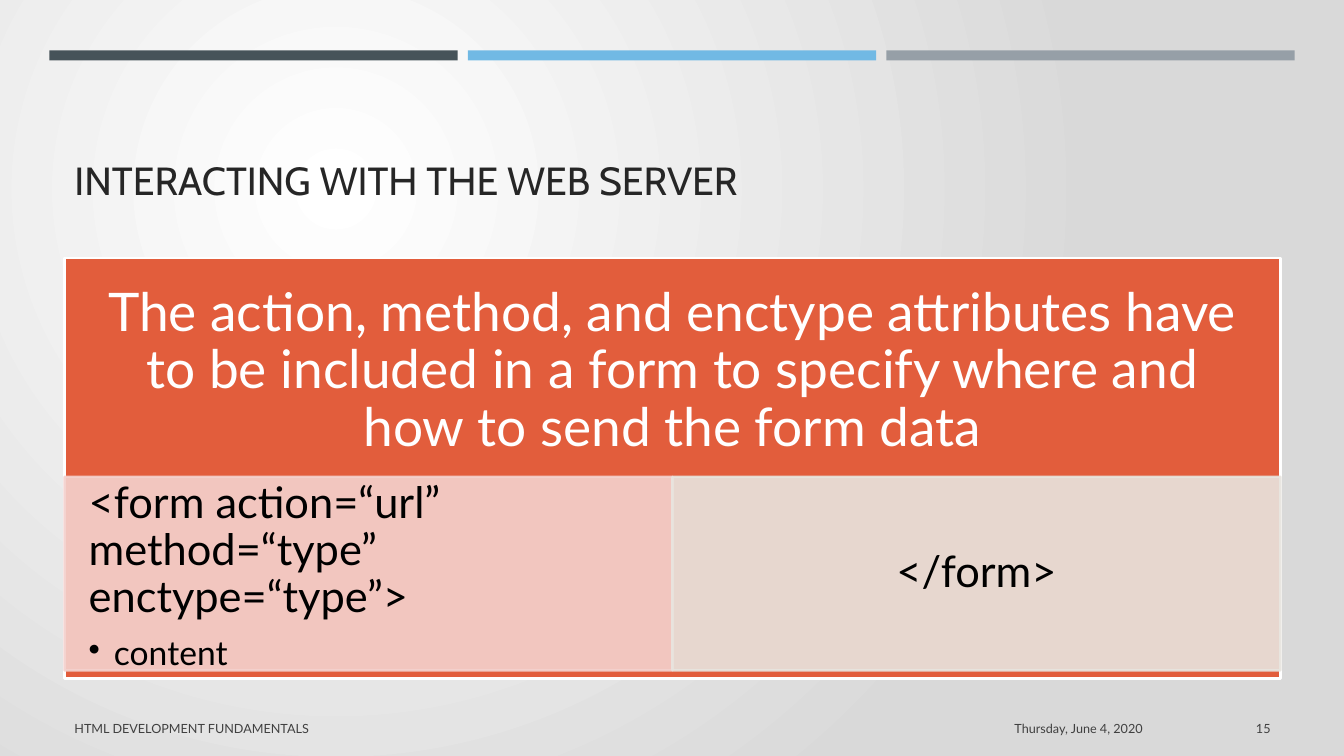
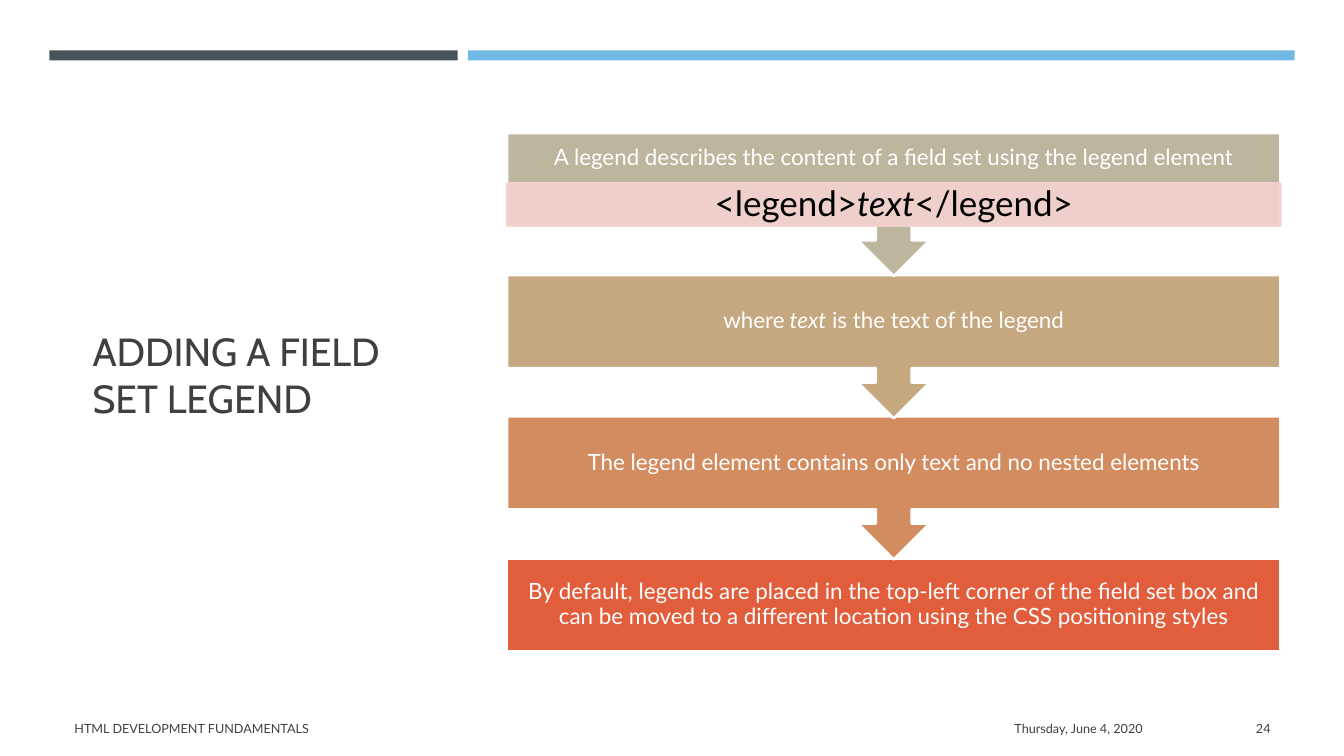
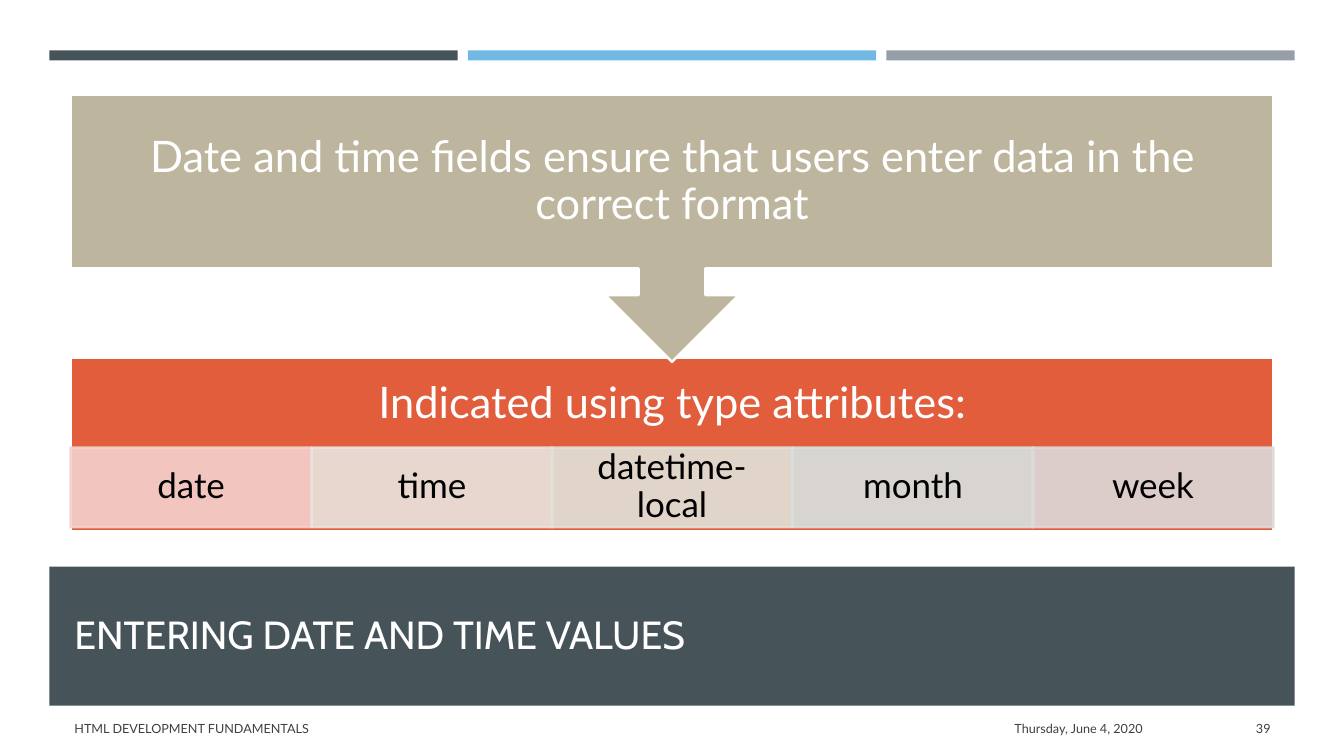
"""Build three slides of a course on HTML forms."""
import pptx
import pptx.dml.color
import pptx.enum.shapes
import pptx.enum.text
import pptx.oxml.ns
import pptx.util
from lxml import etree

COLORS = {
    "slate": "465359", "sky": "71B9E4", "gray": "969FA7",
    "ink": "262626", "text": "404040", "black": "000000",
    "white": "FFFFFF", "silver": "D9D9D9",
    "orange": "E25D3C", "copper": "D28C60", "tan": "C6A880", "khaki": "BDB59D",
}
TINTS = ["F4D2CE", "E8E5DF", "E1E2D8", "D7E1DF", "DDDADA"]
HEAD_FONT, BODY_FONT = "Cabin", "Lato"

WIDTH, HEIGHT = 13.33, 7.5
MARGIN, COLUMN, GUTTER = 0.49, 4.05, 0.1
BAR_TOP, BAR_HEIGHT = 0.5, 0.1
FOOTER_TOP, FOOTER_HEIGHT = 7.03, 0.4
STRIP_SHARE = 0.46
CALLOUT_BOX_SHARE = 0.65

COURSE, DATE = "HTML DEVELOPMENT FUNDAMENTALS", "Thursday, June 4, 2020"
THREE_BARS = [(0, 1, "slate"), (1, 1, "sky"), (2, 1, "gray")]
TWO_BARS = [(0, 1, "slate"), (1, 2, "sky")]

FORM_RULE = ["The action, method, and enctype attributes have to be included in a form "
             "to specify where and how to send the form data"]
FORM_CELLS = [["<form action=“url” method=“type” enctype=“type”>"], ["</form>"]]
FORM_CONTENT = "content"

LEGEND_STEPS = [
    (["A legend describes the content of a field set using the legend element"], "khaki"),
    (["where", " text", " is the text of the legend"], "tan"),
    (["The legend element contains only text and no nested elements"], "copper"),
    (["By default, legends are placed in the top-left corner of the field set box and "
      "can be moved to a different location using the CSS positioning styles"], "orange"),
]
LEGEND_CODE = [["<legend>", "text", "</legend>"]]

DATE_RULE = ["Date and time fields ensure that users enter data in the correct format"]
DATE_LEAD = ["Indicated using type attributes:"]
DATE_TYPES = [["date"], ["time"], ["datetime-local"], ["month"], ["week"]]

SHAPES = pptx.enum.shapes.MSO_SHAPE
ANCHOR = pptx.enum.text.MSO_ANCHOR
ALIGN = pptx.enum.text.PP_ALIGN
Inches, Pt, qn = pptx.util.Inches, pptx.util.Pt, pptx.oxml.ns.qn


def rgb(color):
    return pptx.dml.color.RGBColor.from_string(COLORS.get(color, color))


def place(left, top, width, height):
    return [Inches(round(length, 2)) for length in (left, top, width, height)]


def format_runs(paragraph, size, color, font=BODY_FONT):
    for run in paragraph.runs:
        run.font.size = Pt(size)
        run.font.name = font
        run.font.color.rgb = rgb(color)


def add_label(slide, text, box, size, color, font=BODY_FONT,
              anchor=ANCHOR.MIDDLE, align=ALIGN.LEFT, after=0):
    frame = slide.shapes.add_textbox(*place(*box)).text_frame
    frame.word_wrap = True
    frame.vertical_anchor = anchor
    paragraph = frame.paragraphs[0]
    paragraph.text = text
    paragraph.alignment = align
    paragraph.space_after = Pt(after)
    format_runs(paragraph, size, color, font)


def add_panel(slide, box, fill, line=None, kind=SHAPES.RECTANGLE):
    panel = slide.shapes.add_shape(kind, *place(*box))
    panel.shadow.inherit = False
    panel.fill.solid()
    panel.fill.fore_color.rgb = rgb(fill)
    if line:
        panel.line.color.rgb = rgb(line)
        panel.line.width = Pt(1.75)
    else:
        panel.line.fill.background()
    return panel


def write(panel, segments, size, color, inset_x, inset_y, reserve=0):
    """Write segments, every second one in italics, above a reserved depth."""
    frame = panel.text_frame
    frame.word_wrap = True
    frame.vertical_anchor = ANCHOR.MIDDLE
    frame.margin_left = frame.margin_right = Inches(inset_x)
    frame.margin_top = Inches(inset_y)
    frame.margin_bottom = Inches(inset_y + reserve)
    paragraph = frame.paragraphs[0]
    for index, segment in enumerate(segments):
        run = paragraph.add_run()
        run.text = segment
        run.font.italic = index % 2 == 1
    paragraph.alignment = ALIGN.CENTER
    paragraph.line_spacing = 0.9
    paragraph.space_after = Pt(round(0.35 * size))
    format_runs(paragraph, size, color)


def add_block(slide, box, segments, size, fill, arrow=False, reserve=0):
    left, top, width, height = box
    kind = SHAPES.DOWN_ARROW_CALLOUT if arrow else SHAPES.RECTANGLE
    full_height = height / CALLOUT_BOX_SHARE if arrow else height
    block = add_panel(slide, (left, top, width, full_height), fill, "white", kind)
    inset = round(size / 128, 2)
    write(block, segments, size, "white", inset, inset, reserve)


def add_strip(slide, box, cells, size, top_share=0.52):
    """Split the lower part of a block into equal tinted cells."""
    left, top, width, height = box
    cell_width = width / len(cells)
    panels = []
    for index, (segments, tint) in enumerate(zip(cells, TINTS)):
        cell_box = (left + index * cell_width, top + top_share * height,
                    cell_width, STRIP_SHARE * height)
        cell = add_panel(slide, cell_box, tint, tint)
        for paint in cell.element.spPr.iter(qn("a:srgbClr")):
            etree.SubElement(paint, qn("a:alpha"), val="90000")
        write(cell, segments, size, "black", round(size / 128, 2), round(size / 800, 2))
        panels.append(cell)
    return panels


def add_bullet(panel, text, size):
    paragraph = panel.text_frame.add_paragraph()
    paragraph.text = text
    paragraph.alignment = ALIGN.LEFT
    paragraph.line_spacing = 0.9
    paragraph.space_after = Pt(round(0.15 * size))
    properties = paragraph._p.get_or_add_pPr()
    properties.set("marL", str(Inches(0.25)))
    properties.set("indent", str(-Inches(0.25)))
    etree.SubElement(properties, qn("a:buChar"), char="•")
    format_runs(paragraph, size, "black")


def start_slide(deck, number, bars):
    slide = deck.slides.add_slide(deck.slide_layouts[6])
    slide.background.fill.solid()
    slide.background.fill.fore_color.rgb = rgb("white")
    for column, span, color in bars:
        step = COLUMN + GUTTER
        add_panel(slide, (MARGIN + column * step, BAR_TOP, span * step - GUTTER, BAR_HEIGHT), color)
    for text, left, width, align in [(COURSE, 0.64, 7.56, ALIGN.LEFT),
                                     (DATE, 8.32, 3.11, ALIGN.RIGHT),
                                     (str(number), 11.55, 1.15, ALIGN.RIGHT)]:
        add_label(slide, text, (left, FOOTER_TOP, width, FOOTER_HEIGHT), 9, "text",
                  align=align, after=6)
    return slide


def add_title(slide, text, box, color, anchor=ANCHOR.MIDDLE):
    add_label(slide, text, box, 28, color, HEAD_FONT, anchor)


def add_glow(slide):
    fill = slide.background.fill
    fill.gradient()
    for stop, color in zip(fill.gradient_stops, ("white", "silver")):
        stop.color.rgb = rgb(color)
    gradient = slide.element.find(".//" + qn("a:gradFill"))
    gradient.remove(gradient.find(qn("a:lin")))
    circle = etree.SubElement(gradient, qn("a:path"), path="circle")
    etree.SubElement(circle, qn("a:fillToRect"), l="50000", t="50000", r="100000", b="100000")


def build_server_slide(deck):
    slide = start_slide(deck, 15, THREE_BARS)
    add_glow(slide)
    add_title(slide, "INTERACTING WITH THE WEB SERVER", (0.64, 0.77, 12.06, 1.3), "ink", ANCHOR.BOTTOM)
    box = (0.64, 2.56, 12.06, 4.17)
    add_block(slide, box, FORM_RULE, 38, "orange", reserve=STRIP_SHARE * box[3])
    opening = add_strip(slide, box, FORM_CELLS, 31)[0]
    opening.text_frame.vertical_anchor = ANCHOR.TOP
    opening.text_frame.paragraphs[0].alignment = ALIGN.LEFT
    add_bullet(opening, FORM_CONTENT, 24)


def build_legend_slide(deck):
    slide = start_slide(deck, 24, TWO_BARS)
    add_title(slide, "ADDING A FIELD SET LEGEND", (0.82, 1.14, 3.34, 5.15), "text")
    left, first_top, last_top, width, height = 5.03, 1.32, 5.54, 7.67, 0.92
    last = len(LEGEND_STEPS) - 1
    pitch = (last_top - first_top) / last
    for index, (segments, fill) in reversed(list(enumerate(LEGEND_STEPS))):
        add_block(slide, (left, first_top + index * pitch, width, height), segments, 16, fill,
                  arrow=index < last, reserve=0 if index else STRIP_SHARE * height)
    add_strip(slide, (left, first_top, width, height), LEGEND_CODE, 25, 1 - STRIP_SHARE)


def build_date_slide(deck):
    slide = start_slide(deck, 39, THREE_BARS)
    add_panel(slide, (MARGIN, 5.62, 12.35, 1.38), "slate")
    add_title(slide, "ENTERING DATE AND TIME VALUES", (0.64, 5.76, 11.9, 1.05), "white")
    left, width, height = 0.7, 11.93, 1.72
    types_box = (left, 3.55, width, height)
    add_block(slide, types_box, DATE_LEAD, 31, "orange", reserve=STRIP_SHARE * height)
    add_strip(slide, types_box, DATE_TYPES, 25)
    add_block(slide, (left, 0.94, width, height), DATE_RULE, 31, "khaki", arrow=True)


def main():
    deck = pptx.Presentation()
    deck.slide_width, deck.slide_height = Inches(WIDTH), Inches(HEIGHT)
    build_server_slide(deck)
    build_legend_slide(deck)
    build_date_slide(deck)
    deck.save("out.pptx")


if __name__ == "__main__":
    main()
